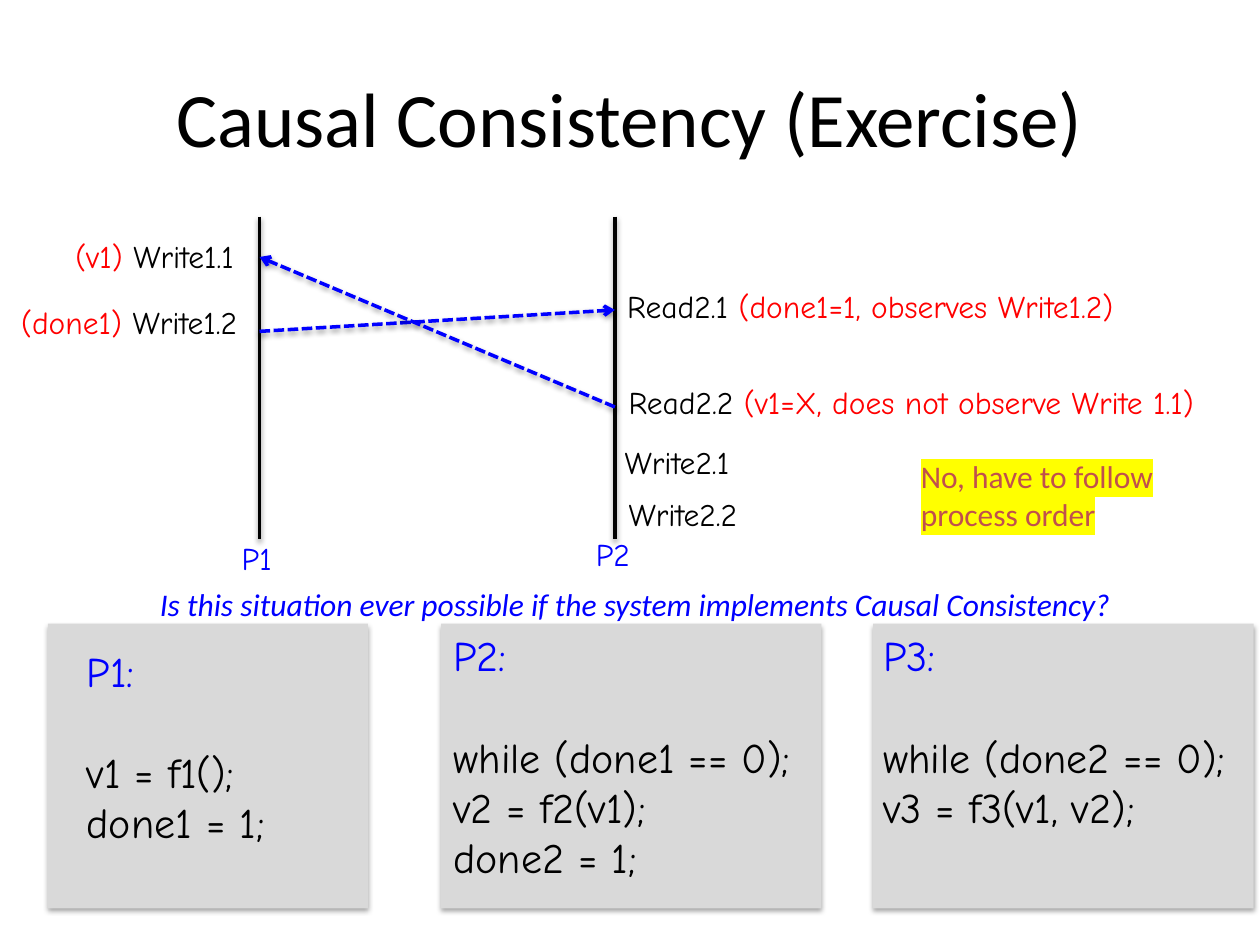
import pptx
import pptx.dml.color
import pptx.enum.shapes
import pptx.enum.text
import pptx.oxml
import pptx.oxml.ns
import pptx.util
from pptx.util import Inches

BLACK, BLUE, RED = "000000", "0000FF", "FF0000"
GRAY, YELLOW, BRICK = "D9D9D9", "FFFF00", "C0504D"
HAND, SANS = "Comic Neue", "Calibri"

TITLE = "Causal Consistency (Exercise)"
QUESTION = "Is this situation ever possible if the system implements Causal Consistency?"
ANSWER = "No, have to follow process order"

# Process timelines: name, x, label left, label top
TIMELINES = [("P1", 2.06, 1.82, 4.23), ("P2", 4.88, 4.63, 4.2)]
TIMELINE_TOP, TIMELINE_BOTTOM = 1.72, 4.28

# Events: left, top, runs of (text, colour)
EVENTS = [
    (0.5, 1.83, [("(v1)", RED), (" Write1.1", BLACK)]),
    (0.07, 2.36, [("(done1)", RED), (" Write1.2", BLACK)]),
    (4.88, 2.23, [("Read2.1 ", BLACK), ("(done1=1, observes Write1.2)", RED)]),
    (4.89, 2.99, [("Read2.2 ", BLACK), ("(v1=X, does not observe Write 1.1)", RED)]),
    (4.86, 3.47, [("Write2.1", BLACK)]),
    (4.89, 3.88, [("Write2.2", BLACK)]),
]

# Observations: start and end point
OBSERVATIONS = [((2.06, 2.63), (4.88, 2.46)), ((4.88, 3.23), (2.06, 2.04))]

# Programs: panel left, panel width, text left, text top, name, code
PROGRAMS = [
    (0.38, 2.54, 0.59, 5.07, "P1:", ["v1 = f1();", "done1 = 1;"]),
    (3.5, 3.02, 3.5, 4.95, "P2:", ["while (done1 == 0);", "v2 = f2(v1);", "done2 = 1;"]),
    (6.93, 3.02, 6.91, 4.95, "P3:", ["while (done2 == 0);", "v3 = f3(v1, v2);"]),
]
PANEL_TOP, PANEL_HEIGHT = 4.95, 2.26
CODE_GAP = 29  # one line, in points


def rgb(color):
    return pptx.dml.color.RGBColor.from_string(color)


def add_xml(parent, xml):
    namespaces = pptx.oxml.ns.nsdecls("a")
    parent.append(pptx.oxml.parse_xml(xml.replace(">", f" {namespaces}>", 1)))


def add_shadow(shape, opacity, distance):
    blur, offset = int(pptx.util.Pt(3.1)), int(pptx.util.Pt(distance))
    add_xml(
        shape._element.spPr,
        f'<a:effectLst><a:outerShdw blurRad="{blur}" dist="{offset}" dir="5400000" '
        f'rotWithShape="0"><a:srgbClr val="{BLACK}"><a:alpha val="{opacity}000"/>'
        "</a:srgbClr></a:outerShdw></a:effectLst>",
    )


def add_run(paragraph, text, color, size=18, font=HAND, italic=None, highlight=None):
    run = paragraph.add_run()
    run.text = text
    run.font.size = pptx.util.Pt(size)
    run.font.italic = italic
    run.font.color.rgb = rgb(color)
    if highlight:
        add_xml(run.font._element,
                f'<a:highlight><a:srgbClr val="{highlight}"/></a:highlight>')
    run.font.name = font


def add_text_frame(slide, left, top, width, height=0.4, wrap=True):
    box = slide.shapes.add_textbox(*map(Inches, (left, top, width, height)))
    box.text_frame.word_wrap = wrap
    return box.text_frame


def add_line(slide, start, end, color):
    line = slide.shapes.add_connector(
        pptx.enum.shapes.MSO_CONNECTOR.STRAIGHT, *map(Inches, (*start, *end)))
    line.line.color.rgb = rgb(color)
    line.line.width = pptx.util.Pt(2)
    add_shadow(line, 38, 1.6)
    return line


def add_observation(slide, start, end):
    arrow = add_line(slide, start, end, BLUE)
    add_xml(arrow.line._get_or_add_ln(), '<a:prstDash val="sysDash"></a:prstDash>')
    add_xml(arrow.line._get_or_add_ln(), '<a:tailEnd type="arrow"></a:tailEnd>')


def add_program(slide, panel_left, panel_width, left, top, name, code):
    panel = slide.shapes.add_shape(
        pptx.enum.shapes.MSO_SHAPE.RECTANGLE,
        *map(Inches, (panel_left, PANEL_TOP, panel_width, PANEL_HEIGHT)))
    panel.fill.solid()
    panel.fill.fore_color.rgb = rgb(GRAY)
    panel.line.fill.background()
    add_shadow(panel, 35, 1.8)

    frame = add_text_frame(slide, left, top, 3.09, 1.72)
    add_run(frame.paragraphs[0], name, BLUE, 24)
    for index, line in enumerate(code):
        paragraph = frame.add_paragraph()
        if index == 0:
            paragraph.space_before = pptx.util.Pt(CODE_GAP)
        add_run(paragraph, line, BLACK, 24)


def main():
    presentation = pptx.Presentation()
    presentation.slide_width, presentation.slide_height = Inches(10), Inches(7.5)
    slide = presentation.slides.add_slide(presentation.slide_layouts[5])

    title = slide.shapes.title
    title.left, title.top, title.width, title.height = map(Inches, (0.5, 0.3, 9, 1.25))
    title.text_frame.vertical_anchor = pptx.enum.text.MSO_ANCHOR.MIDDLE
    title.text_frame.paragraphs[0].alignment = pptx.enum.text.PP_ALIGN.CENTER
    add_run(title.text_frame.paragraphs[0], TITLE, BLACK, 44, SANS)

    for name, x, label_left, label_top in TIMELINES:
        add_line(slide, (x, TIMELINE_TOP), (x, TIMELINE_BOTTOM), BLACK)
        label = add_text_frame(slide, label_left, label_top, 0.49, wrap=False)
        add_run(label.paragraphs[0], name, BLUE)

    for left, top, runs in EVENTS:
        event = add_text_frame(slide, left, top, 5)
        for text, color in runs:
            add_run(event.paragraphs[0], text, color)

    for program in PROGRAMS:
        add_program(slide, *program)

    question = add_text_frame(slide, 1.17, 4.59, 7.88, wrap=False)
    add_run(question.paragraphs[0], QUESTION, BLUE, font=SANS, italic=True)

    for start, end in OBSERVATIONS:
        add_observation(slide, start, end)

    answer = add_text_frame(slide, 7.21, 3.58, 2.4, 0.71)
    add_run(answer.paragraphs[0], ANSWER, BRICK, font=SANS, highlight=YELLOW)

    presentation.save("out.pptx")


if __name__ == "__main__":
    main()
